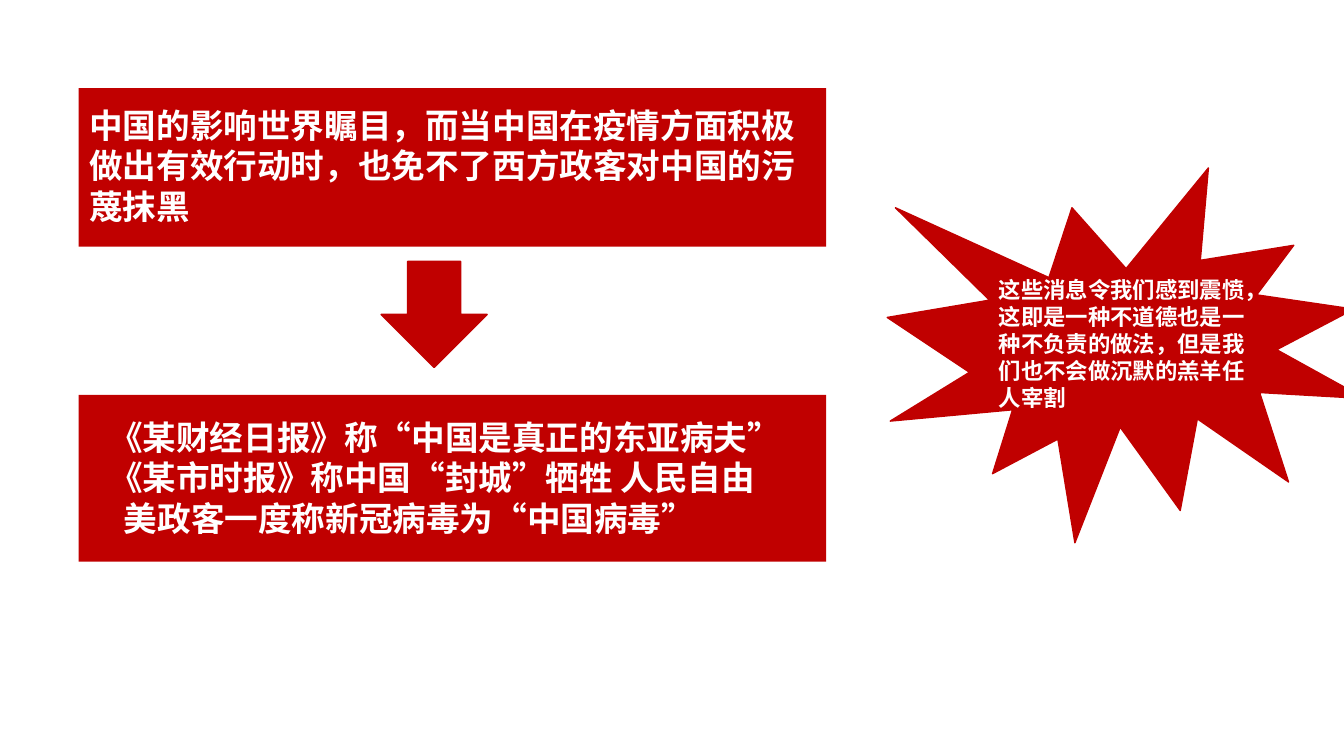
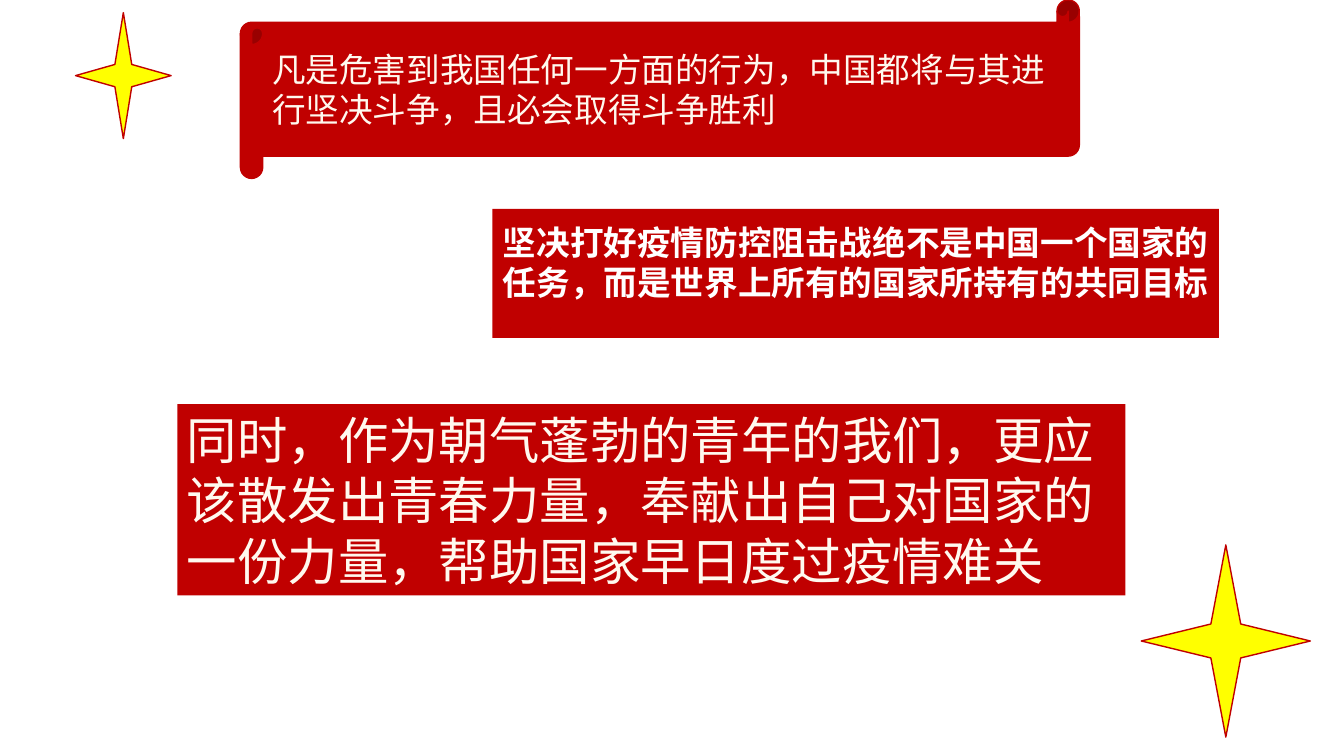
import pptx
import pptx.dml.color
import pptx.enum.shapes
import pptx.enum.text
import pptx.util

SCALE = 9525  # EMU in one px
RED, YELLOW, WHITE, CREAM = "C00000", "FFFF00", "FFFFFF", "FFF9EF"
FONT = "Arial"
SHAPES = pptx.enum.shapes.MSO_SHAPE
ANCHORS = pptx.enum.text.MSO_ANCHOR


def px(length):
    return pptx.util.Emu(length * SCALE)


def colour(code):
    return pptx.dml.color.RGBColor.from_string(code)


def add_figure(page, kind, box, fill=RED, outlined=True):
    """Preset shape, by default with a thin red outline."""
    figure = page.shapes.add_shape(kind, *map(px, box))
    figure.shadow.inherit = False
    figure.fill.solid()
    figure.fill.fore_color.rgb = colour(fill)
    if outlined:
        figure.line.color.rgb = colour(RED)
        figure.line.width = pptx.util.Pt(1)
    else:
        figure.line.fill.background()
    return figure


def write(figure, lines, size, ink=WHITE, bold=True, anchor=ANCHORS.MIDDLE,
          insets=(9, 5, 9, 5), indents=()):
    """Left-aligned lines; insets run left, top, right, bottom."""
    frame = figure.text_frame
    frame.word_wrap = True
    frame.vertical_anchor = anchor
    (frame.margin_left, frame.margin_top,
     frame.margin_right, frame.margin_bottom) = map(px, insets)
    for index, line in enumerate(lines):
        para = frame.add_paragraph() if index else frame.paragraphs[0]
        para.text = line
        para.alignment = pptx.enum.text.PP_ALIGN.LEFT
        if index < len(indents):
            para._p.get_or_add_pPr().set("marL", str(px(indents[index])))
        para.font.name = FONT
        para.font.size = pptx.util.Pt(size)
        para.font.bold = bold
        para.font.color.rgb = colour(ink)


def add_panel(page, box, lines, insets, indents=()):
    """Red rectangle with bold text set from its top."""
    panel = add_figure(page, SHAPES.RECTANGLE, box, outlined=False)
    write(panel, lines, 24, anchor=ANCHORS.TOP, insets=insets, indents=indents)


def build_smear_page(page):
    # Claim, arrow and examples
    add_panel(page, (75, 84, 712, 151),
              ["中国的影响世界瞩目，而当中国在疫情方面积极做出有效行动时，也免不了西方政客对中国的污蔑抹黑"],
              (10, 16, 18, 5))
    add_figure(page, SHAPES.DOWN_ARROW, (363, 249, 101, 101))
    add_panel(page, (75, 376, 712, 159),
              ["《某财经日报》称“中国是真正的东亚病夫”",
               "《某市时报》称中国“封城”牺牲 人民自由",
               "美政客一度称新冠病毒为“中国病毒”"],
              (29, 21, 0, 5), indents=(0, 0, 14))

    # Reaction
    burst = add_figure(page, SHAPES.EXPLOSION1, (845, 160, 455, 357))
    write(burst, ["这些消息令我们感到震愤，这即是一种不道德也是一种不负责的做法，但是我们也不会做沉默的羔羊任人宰割"], 16)


def build_resolve_page(page):
    # Scroll heading
    scroll = add_figure(page, SHAPES.HORIZONTAL_SCROLL, (229, 0, 799, 170))
    write(scroll, ["凡是危害到我国任何一方面的行为，中国都将与其进行坚决斗争，且必会取得斗争胜利"],
          24, CREAM, bold=False)

    # Shared goal and call to the young
    add_panel(page, (469, 199, 692, 123),
              ["坚决打好疫情防控阻击战绝不是中国一个国家的任务，而是世界上所有的国家所持有的共同目标"],
              (10, 12, 0, 5))
    call = add_figure(page, SHAPES.RECTANGLE, (169, 385, 903, 182), outlined=False)
    write(call, ["同时，作为朝气蓬勃的青年的我们，更应该散发出青春力量，奉献出自己对国家的一份力量，帮助国家早日度过疫情难关"],
          36, CREAM, bold=False)

    # Corner stars
    for box in ((72, 12, 91, 120), (1087, 519, 161, 183)):
        add_figure(page, SHAPES.STAR_4_POINT, box, YELLOW)


def main():
    deck = pptx.Presentation()
    deck.slide_width, deck.slide_height = px(1280), px(720)
    for build in (build_smear_page, build_resolve_page):
        build(deck.slides.add_slide(deck.slide_layouts[6]))
    deck.save("out.pptx")


if __name__ == "__main__":
    main()
